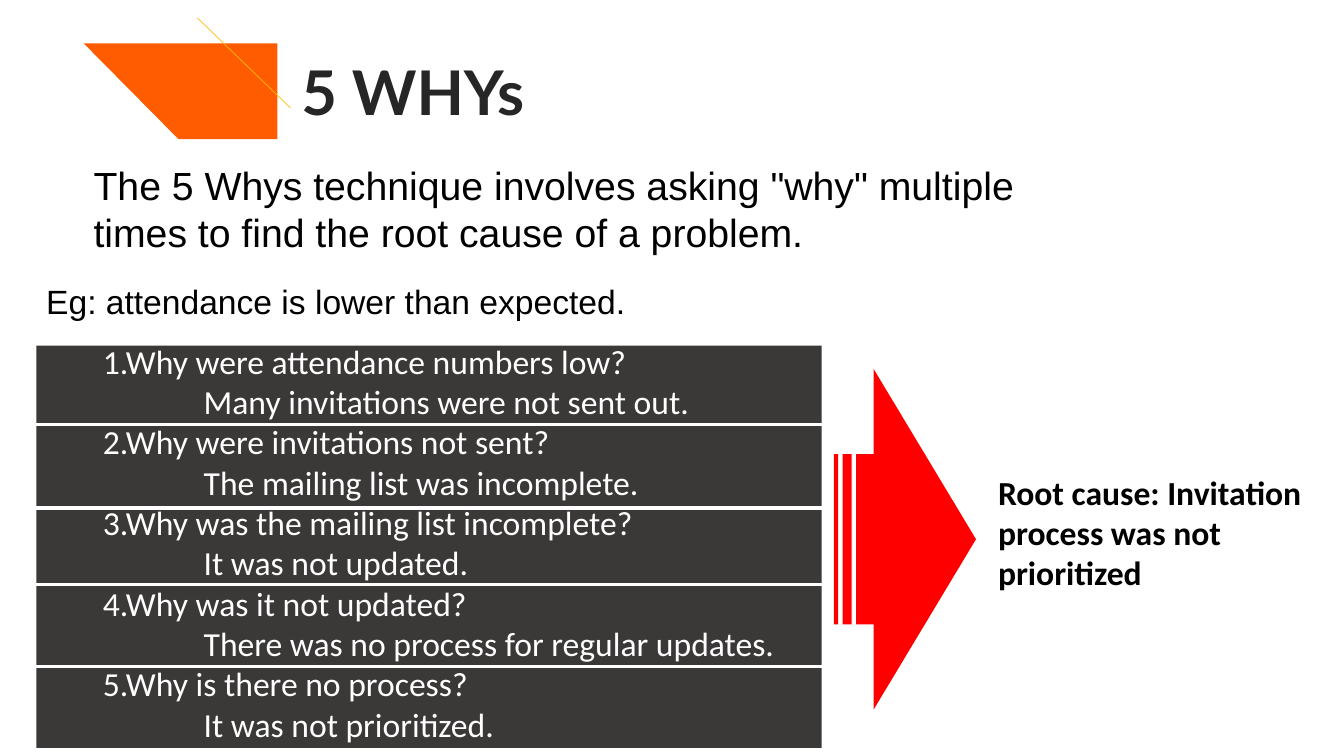
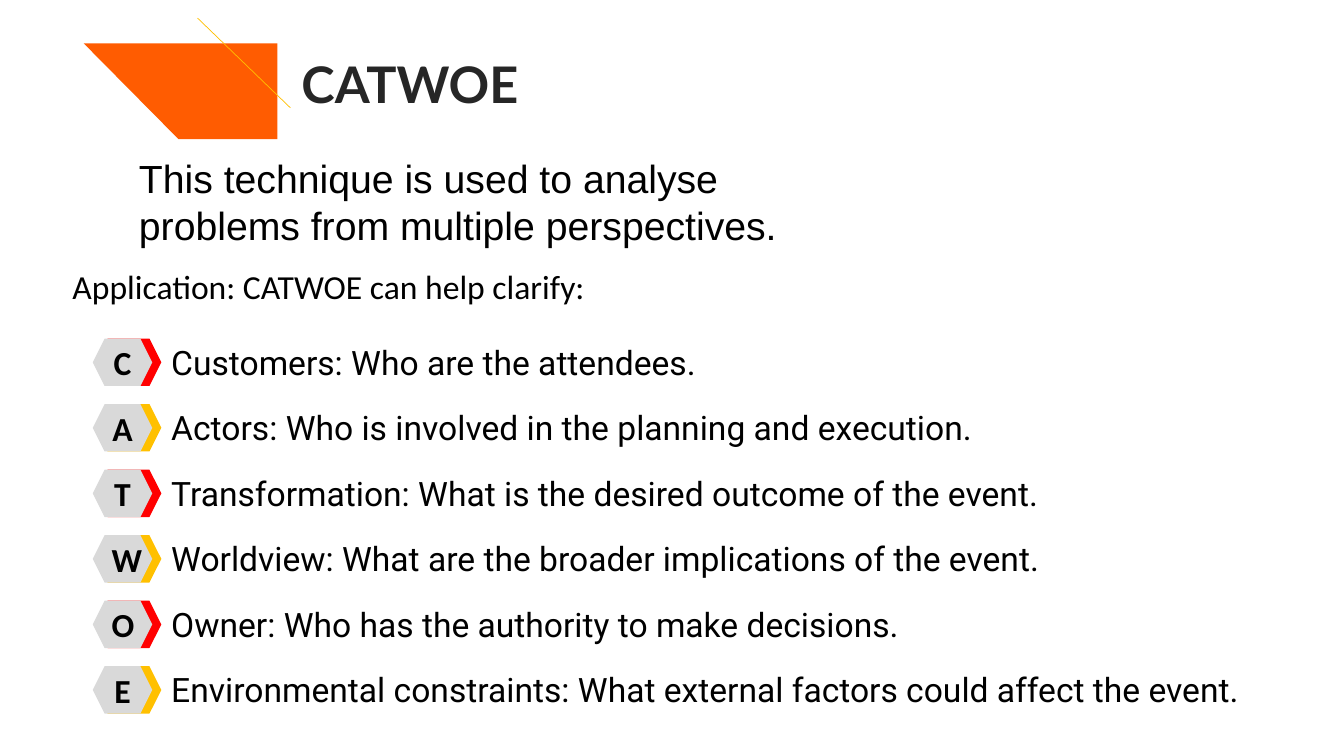
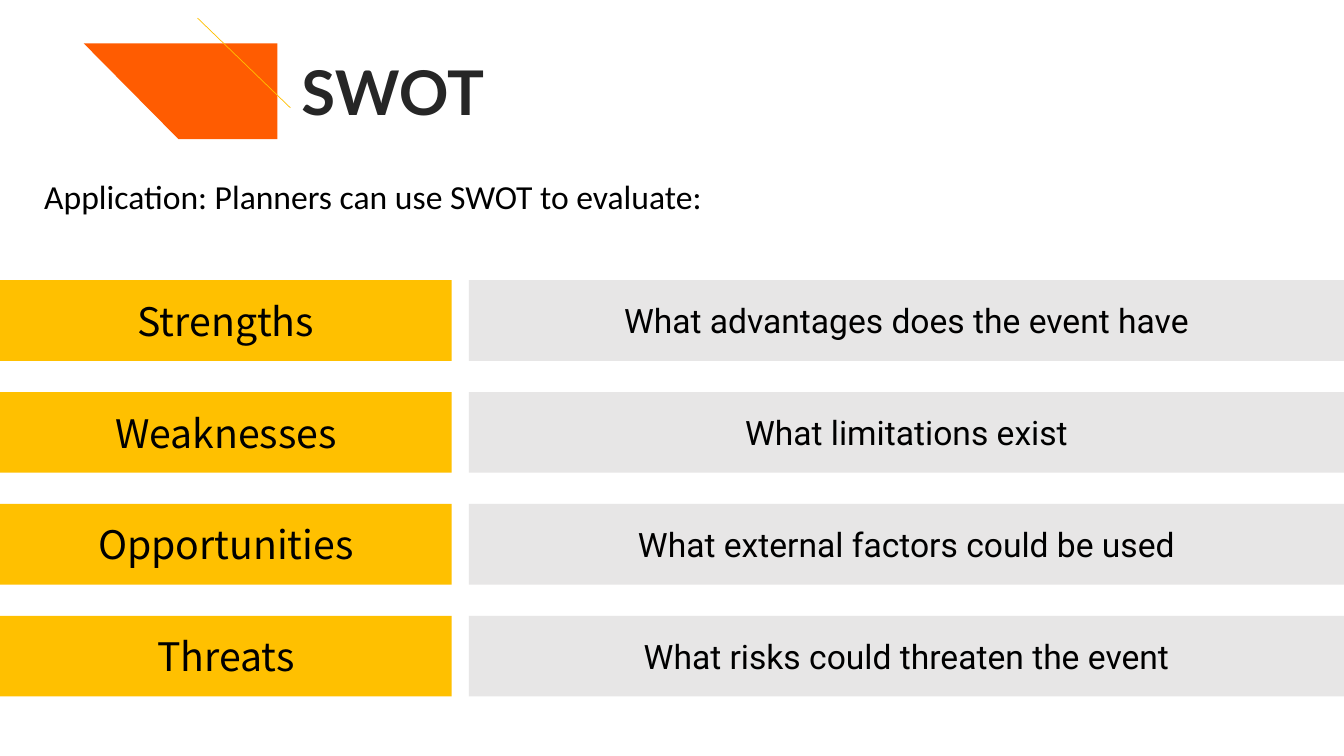
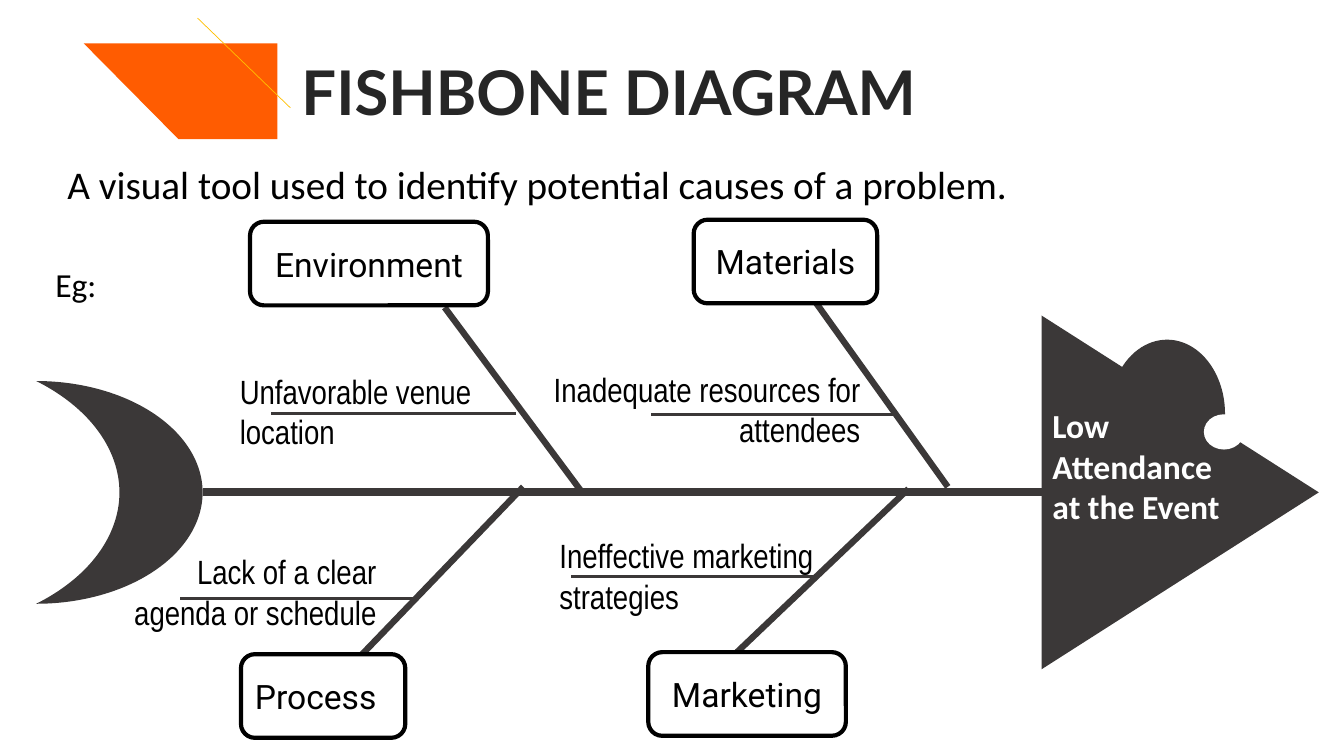
from lxml import etree
from pptx import Presentation
from pptx.dml.color import RGBColor
from pptx.enum import shapes, text
from pptx.oxml import ns
from pptx.util import Inches, Pt

ORANGE = RGBColor(0xFF, 0x5C, 0x01)
AMBER = RGBColor(0xFF, 0xC0, 0x00)
RED = RGBColor(0xFF, 0x00, 0x00)
CHARCOAL = RGBColor(0x3B, 0x38, 0x38)
TITLE_INK = RGBColor(0x26, 0x26, 0x26)
GREY = RGBColor(0xD9, 0xD9, 0xD9)
PALE_GREY = RGBColor(0xE7, 0xE6, 0xE6)
BLACK = RGBColor(0x00, 0x00, 0x00)
WHITE = RGBColor(0xFF, 0xFF, 0xFF)
KIND = shapes.MSO_SHAPE
LEFT, CENTER, RIGHT = text.PP_ALIGN.LEFT, text.PP_ALIGN.CENTER, text.PP_ALIGN.RIGHT


def add_block(slide, kind, box, words="", font="Calibri", size=24, color=BLACK,
              bold=False, align=LEFT, fill=None, outline=None):
    lengths = [Inches(value) for value in box]
    if kind is None:
        shape = slide.shapes.add_textbox(*lengths)
    else:
        shape = slide.shapes.add_shape(kind, *lengths)
        shape.shadow.inherit = False
        shape.fill.solid()
        shape.fill.fore_color.rgb = fill
        if outline is None:
            shape.line.fill.background()
        else:
            shape.line.color.rgb = outline
            shape.line.width = Pt(3)
    if words:
        frame = shape.text_frame
        frame.word_wrap = True
        frame.text = words
        paragraph = frame.paragraphs[0]
        paragraph.alignment = align
        run_font = paragraph.runs[0].font
        run_font.name, run_font.size, run_font.bold = font, Pt(size), bold
        run_font.color.rgb = color
    return shape


def add_line(slide, start, end, color, width):
    points = [Inches(value) for value in (*start, *end)]
    line = slide.shapes.add_connector(shapes.MSO_CONNECTOR.STRAIGHT, *points)
    line.line.color.rgb = color
    line.line.width = Pt(width)
    etree.SubElement(line._element.spPr, ns.qn("a:effectLst"))


presentation = Presentation()
presentation.slide_width = Inches(13.33)
presentation.slide_height = Inches(7.5)

TITLE_AND_BODY, TITLE_ONLY = 1, 5
slides = []
for heading, size, layout in [
    ("5 WHYs", 44, TITLE_AND_BODY),
    ("CATWOE", 36, TITLE_ONLY),
    ("SWOT", 44, TITLE_ONLY),
    ("FISHBONE DIAGRAM", 44, TITLE_ONLY),
]:
    slide = presentation.slides.add_slide(presentation.slide_layouts[layout])
    slides.append(slide)
    builder = slide.shapes.build_freeform(Inches(0.83), Inches(0.43), scale=1.0)
    corners = [(2.75, 0.43), (2.75, 1.38), (1.77, 1.38)]
    builder.add_line_segments([(Inches(x), Inches(y)) for x, y in corners], close=True)
    banner = builder.convert_to_shape()
    banner.shadow.inherit = False
    banner.fill.solid()
    banner.fill.fore_color.rgb = ORANGE
    banner.line.fill.background()
    add_line(slide, (1.96, 0.18), (2.88, 1.07), AMBER, 0.5)

    title = slide.shapes.title
    title.left, title.top = Inches(2.89), Inches(0.48)
    title.width, title.height = Inches(9), Inches(0.84)
    frame = title.text_frame
    frame.text = heading
    frame.auto_size = text.MSO_AUTO_SIZE.NONE
    frame.vertical_anchor = text.MSO_ANCHOR.TOP
    paragraph = frame.paragraphs[0]
    paragraph.alignment = LEFT
    font = paragraph.runs[0].font
    font.name, font.size, font.bold = "Lato", Pt(size), True
    font.color.rgb = TITLE_INK

whys_slide, catwoe_slide, swot_slide, fishbone_slide = slides

for slide, box, words, font, size in [
    (whys_slide, (0.83, 1.55, 9.6, 1.04),
     'The 5 Whys technique involves asking "why" multiple times to find the root cause of a problem.',
     "Arial", 28),
    (whys_slide, (0.36, 2.74, 6.5, 0.5), "Eg: attendance is lower than expected.", "Arial", 24),
    (catwoe_slide, (1.28, 1.48, 6.7, 1.04),
     "This technique is used to analyse problems from multiple perspectives.", "Arial", 28),
    (catwoe_slide, (0.62, 2.59, 6.92, 0.5), "Application: CATWOE can help clarify:", "Calibri", 24),
    (swot_slide, (0.34, 1.7, 7.85, 0.5), "Application: Planners can use SWOT to evaluate:", "Calibri", 24),
    (fishbone_slide, (0.57, 1.54, 10.43, 0.57),
     "A visual tool used to identify potential causes of a problem.", "Calibri", 28),
    (fishbone_slide, (0.45, 2.57, 1, 0.5), "Eg:", "Calibri", 24),
]:
    add_block(slide, None, box, words, font, size)

panel = add_block(whys_slide, KIND.RECTANGLE, (0.36, 3.43, 7.79, 3.99), fill=CHARCOAL)
body = whys_slide.placeholders[1]
whys_slide.shapes._spTree.remove(body._element)
panel._element.addnext(body._element)
body.left, body.top = Inches(0.92), Inches(3.33)
body.width, body.height = Inches(7.35), Inches(4.13)
questions = [
    ("1.Why were attendance numbers low?", "Many invitations were not sent out."),
    ("2.Why were invitations not sent?", "The mailing list was incomplete."),
    ("3.Why was the mailing list incomplete?", "It was not updated."),
    ("4.Why was it not updated?", "There was no process for regular updates."),
    ("5.Why is there no process?", "It was not prioritized."),
]
frame = body.text_frame
frame.text = "\n".join(line for pair in questions for line in pair)
frame.auto_size = text.MSO_AUTO_SIZE.NONE
for index, paragraph in enumerate(frame.paragraphs):
    paragraph.level = index % 2
    properties = paragraph._p.get_or_add_pPr()
    properties.set("marL", str(Inches(paragraph.level)))
    properties.set("indent", "0")
    etree.SubElement(properties, ns.qn("a:buNone"))
    paragraph.space_before = Pt(0)
    font = paragraph.runs[0].font
    font.name, font.size = "Calibri", Pt(24)
    font.color.rgb = WHITE
for y in (4.21, 5.04, 5.8, 6.61):
    add_line(whys_slide, (0.36, y), (8.15, y), WHITE, 2.25)
arrow = add_block(whys_slide, KIND.STRIPED_RIGHT_ARROW, (8.27, 3.66, 1.41, 3.38), fill=RED)
arrow.adjustments[1] = 0.72
add_block(whys_slide, None, (9.8, 4.63, 3.48, 1.31),
          "Root cause: Invitation process was not prioritized", bold=True)

for index, meaning in enumerate([
    "Customers: Who are the attendees.",
    "Actors: Who is involved in the planning and execution.",
    "Transformation: What is the desired outcome of the event.",
    "Worldview: What are the broader implications of the event.",
    "Owner: Who has the authority to make decisions.",
    "Environmental constraints: What external factors could affect the event.",
]):
    top = 3.36 + 0.65 * index
    accent = AMBER if index % 2 else RED
    add_block(catwoe_slide, KIND.HEXAGON, (0.95, top, 0.65, 0.47), fill=accent)
    add_block(catwoe_slide, KIND.HEXAGON, (0.92, top, 0.59, 0.47), meaning[0],
              bold=True, align=CENTER, fill=GREY)
    add_block(catwoe_slide, None, (1.6, top - 0.02, 11.33, 0.5), meaning, "Roboto")

for index, (factor, question) in enumerate([
    ("Strengths", "What advantages does the event have"),
    ("Weaknesses", "What limitations exist"),
    ("Opportunities", "What external factors could be used"),
    ("Threats", "What risks could threaten the event"),
]):
    top = 2.78 + 1.11 * index
    add_block(swot_slide, KIND.RECTANGLE, (0, top, 4.48, 0.8), factor,
              "Noto Sans CJK JP", 28, align=CENTER, fill=AMBER)
    add_block(swot_slide, KIND.RECTANGLE, (4.65, top, 8.68, 0.8), question,
              "Roboto", align=CENTER, fill=PALE_GREY)

add_block(fishbone_slide, KIND.OVAL, (11, 3.37, 1.15, 1.47), fill=CHARCOAL)
head = add_block(fishbone_slide, KIND.ISOSCELES_TRIANGLE, (9.95, 3.51, 3.51, 2.75), fill=CHARCOAL)
head.rotation = 90
add_line(fishbone_slide, (10.33, 4.88), (2.01, 4.88), CHARCOAL, 6)
tail = add_block(fishbone_slide, KIND.MOON, (0.36, 3.78, 1.65, 2.21), fill=CHARCOAL)
tail._element.spPr.xfrm.set("flipH", "1")
add_block(fishbone_slide, KIND.OVAL, (11.94, 4.11, 0.4, 0.35), fill=WHITE)
add_block(fishbone_slide, None, (10.34, 3.97, 2.09, 1.31),
          "Low Attendance at the Event", color=WHITE, bold=True)

for category, box, align, bone, rib, cause, cause_box, cause_align in [
    ("Environment", (2.48, 2.2, 2.36), CENTER, ((5.77, 4.88), (4.41, 3.05)), (5.12, 2.69, 4.1),
     "Unfavorable venue location", (2.28, 3.63, 2.97), LEFT),
    ("Materials", (6.88, 2.18, 1.82), CENTER, ((9.4, 4.83), (7.99, 2.86)), (8.89, 6.46, 4.11),
     "Inadequate resources for attendees", (4.77, 3.61, 3.86), RIGHT),
    ("Process", (2.39, 6.49, 1.63), LEFT, ((5.19, 4.83), (3.42, 6.67)), (4.15, 1.79, 5.94),
     "Lack of a clear agenda or schedule", (1.02, 5.42, 2.81), RIGHT),
    ("Marketing", (6.43, 6.47, 1.96), CENTER, ((9.01, 4.85), (7.31, 6.47)), (8.09, 5.66, 5.72),
     "Ineffective marketing strategies", (5.45, 5.26, 2.77), LEFT),
]:
    add_line(fishbone_slide, *bone, CHARCOAL, 4.5)
    rib_start, rib_end, rib_y = rib
    add_line(fishbone_slide, (rib_start, rib_y), (rib_end, rib_y), CHARCOAL, 2.25)
    add_block(fishbone_slide, KIND.ROUNDED_RECTANGLE, (*box, 0.83), category,
              "Roboto", align=align, fill=WHITE, outline=BLACK)
    add_block(fishbone_slide, None, (*cause_box, 0.91), cause, "Arial Narrow", align=cause_align)

presentation.save("out.pptx")
